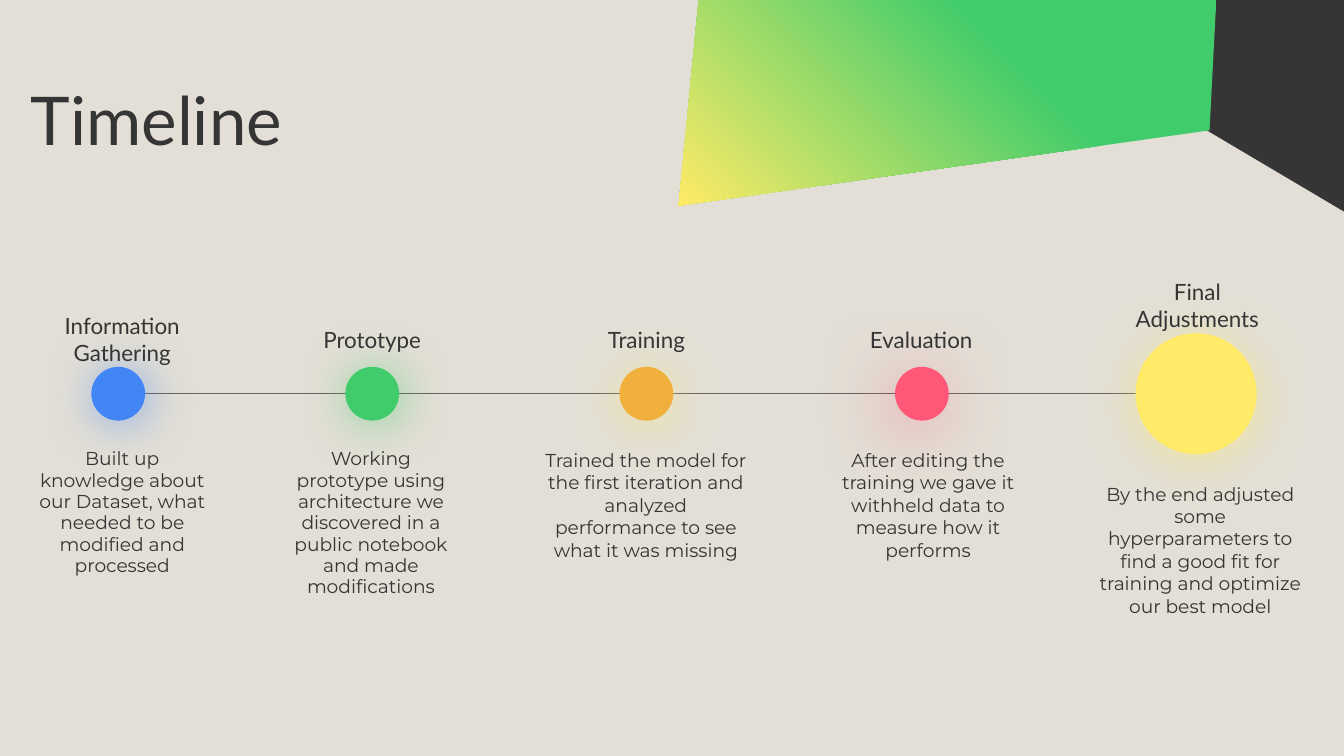
from copy import deepcopy
from typing import NamedTuple

from lxml import etree
from pptx import Presentation
from pptx import util as u
from pptx.dml.color import RGBColor
from pptx.enum import shapes, text
from pptx.oxml import ns

INK, GREEN, YELLOW = "353535", "41CC6B", "FFEB67"
SLIDE_WIDTH = 10
AXIS_Y = 2.93


class Glow(NamedTuple):
    color: str
    alpha: int
    blur: float
    distance: float
    angle: int


class Stage(NamedTuple):
    center: float
    diameter: float
    color: str
    glow: Glow
    heading: str
    heading_box: tuple[float, float, float]  # left, top, width
    detail: str
    detail_box: tuple[float, float, float, float]  # left, top, width, height
    spacing: float


STAGES = [
    Stage(0.88, 0.4, "4285F4", Glow("4285F4", 56, 25.9, 2.2, 45),
          "Information Gathering", (0.16, 2.22, 1.5),
          "Built up knowledge about our Dataset, what needed to be modified and processed",
          (0.16, 3.24, 1.5, 1.16), 0.95),
    Stage(2.77, 0.4, GREEN, Glow(GREEN, 56, 25.9, 2.2, 45),
          "Prototype", (2.12, 2.33, 1.3),
          "Working prototype using architecture we discovered in a public notebook and made modifications",
          (2.01, 3.24, 1.5, 1.16), 0.95),
    Stage(4.81, 0.4, "F0B03B", Glow(YELLOW, 50, 27, 3, 90),
          "Training", (4.36, 2.33, 0.9),
          "Trained the model for the first iteration and analyzed performance to see what it was missing",
          (3.94, 3.24, 1.73, 1.16), 1.0),
    Stage(6.86, 0.4, "FF5777", Glow("FF5777", 50, 38.2, 6, 130),
          "Evaluation", (6.34, 2.33, 1.03),
          "After editing the training we gave it withheld data to measure how it performs",
          (6.09, 3.24, 1.63, 1.16), 1.0),
    Stage(8.9, 0.9, YELLOW, Glow(YELLOW, 50, 27, 3, 90),
          "Final Adjustments", (8.26, 1.97, 1.3),
          "By the end adjusted some hyperparameters to find a good fit for training and optimize our best model",
          (8.03, 3.49, 1.8, 1.57), 1.0),
]


def rgb(value: str) -> RGBColor:
    return RGBColor.from_string(value)


def set_text(shape, words: str, size: float, font: str, align, spacing: float = 1.0) -> None:
    frame = shape.text_frame
    inset = u.Inches(0.1)
    frame_format = {
        "word_wrap": True, "auto_size": text.MSO_AUTO_SIZE.NONE,
        "vertical_anchor": text.MSO_ANCHOR.TOP,
        "margin_left": inset, "margin_right": inset,
        "margin_top": inset, "margin_bottom": inset,
    }
    for name, value in frame_format.items():
        setattr(frame, name, value)
    frame.text = words
    paragraph = frame.paragraphs[0]
    paragraph.alignment, paragraph.line_spacing = align, spacing
    run_font = paragraph.runs[0].font
    for name, value in {"size": u.Pt(size), "name": font}.items():
        setattr(run_font, name, value)
    run_font.color.rgb = rgb(INK)


def add_caption(slide, box: tuple, words: str, size: float, font: str, spacing: float = 1.0) -> None:
    caption = slide.shapes.add_textbox(*map(u.Inches, box))
    set_text(caption, words, size, font, text.PP_ALIGN.CENTER, spacing)


def add_panel(slide, corners: list[tuple[float, float]]):
    # Freeform corners are whole numbers, so they are given in EMU
    start, *others = [(u.Inches(x), u.Inches(y)) for x, y in corners]
    builder = slide.shapes.build_freeform(*start)
    builder.add_line_segments(others, close=True)
    panel = builder.convert_to_shape()
    panel.shadow.inherit = False
    panel.line.fill.background()
    return panel


def add_glow(shape, glow: Glow) -> None:
    shape.shadow.inherit = False
    effects = shape._element.spPr.find(ns.qn("a:effectLst"))
    shadow = etree.SubElement(
        effects, ns.qn("a:outerShdw"), blurRad=str(u.Pt(glow.blur)),
        dist=str(u.Pt(glow.distance)), dir=str(glow.angle * 60000),
        algn="ctr", rotWithShape="0")
    color = etree.SubElement(shadow, ns.qn("a:srgbClr"), val=glow.color)
    etree.SubElement(color, ns.qn("a:alpha"), val=str(glow.alpha * 1000))


def add_marker(slide, stage: Stage) -> None:
    radius = stage.diameter / 2
    box = (stage.center - radius, AXIS_Y - radius, stage.diameter, stage.diameter)
    marker = slide.shapes.add_shape(shapes.MSO_SHAPE.OVAL, *map(u.Inches, box))
    marker.fill.solid()
    marker.fill.fore_color.rgb = rgb(stage.color)
    marker.line.fill.background()
    add_glow(marker, stage.glow)


def main() -> None:
    deck = Presentation()
    deck.slide_width, deck.slide_height = u.Inches(SLIDE_WIDTH), u.Inches(SLIDE_WIDTH * 9 / 16)
    slide = deck.slides.add_slide(deck.slide_layouts[5])
    slide.background.fill.solid()
    slide.background.fill.fore_color.rgb = rgb("E3DFD6")

    # Corner panels
    dark_panel = add_panel(slide, [(8.98, 0.97), (10.01, 1.58), (10.01, -0.01), (9.05, -0.01)])
    dark_panel.fill.solid()
    dark_panel.fill.fore_color.rgb = rgb(INK)

    green_panel = add_panel(slide, [(5.2, -0.01), (5.05, 1.53), (9, 0.97), (9.05, 0)])
    green_panel.fill.gradient()
    green_panel.fill.gradient_angle = 225
    for stop, color in zip(green_panel.fill.gradient_stops, (GREEN, YELLOW)):
        stop.color.rgb = rgb(color)
    first_stop = green_panel._element.spPr.find(".//" + ns.qn("a:gs"))
    middle_stop = deepcopy(first_stop)
    middle_stop.set("pos", "35000")
    first_stop.addnext(middle_stop)

    # Title
    title = slide.shapes.title
    title_box = {"left": 0.13, "top": 0.55, "width": 6.37, "height": 0.75}
    for name, value in title_box.items():
        setattr(title, name, u.Inches(value))
    set_text(title, "Timeline", 36, "Lato", text.PP_ALIGN.LEFT, 0.9)

    # Timeline axis
    axis = slide.shapes.add_connector(
        shapes.MSO_CONNECTOR.STRAIGHT, *map(u.Inches, (0.75, AXIS_Y, 9.15, AXIS_Y)))
    axis.line.color.rgb = rgb("69615E")
    axis.line.width = u.Pt(0.75)
    etree.SubElement(axis._element.spPr, ns.qn("a:effectLst"))

    # Stages: markers first, so that all captions lie above the glows
    for stage in STAGES:
        add_marker(slide, stage)
    for stage in STAGES:
        add_caption(slide, (*stage.heading_box, 0.4), stage.heading, 12, "Lato")
        add_caption(slide, stage.detail_box, stage.detail, 10, "Montserrat", stage.spacing)

    deck.save("out.pptx")


if __name__ == "__main__":
    main()
